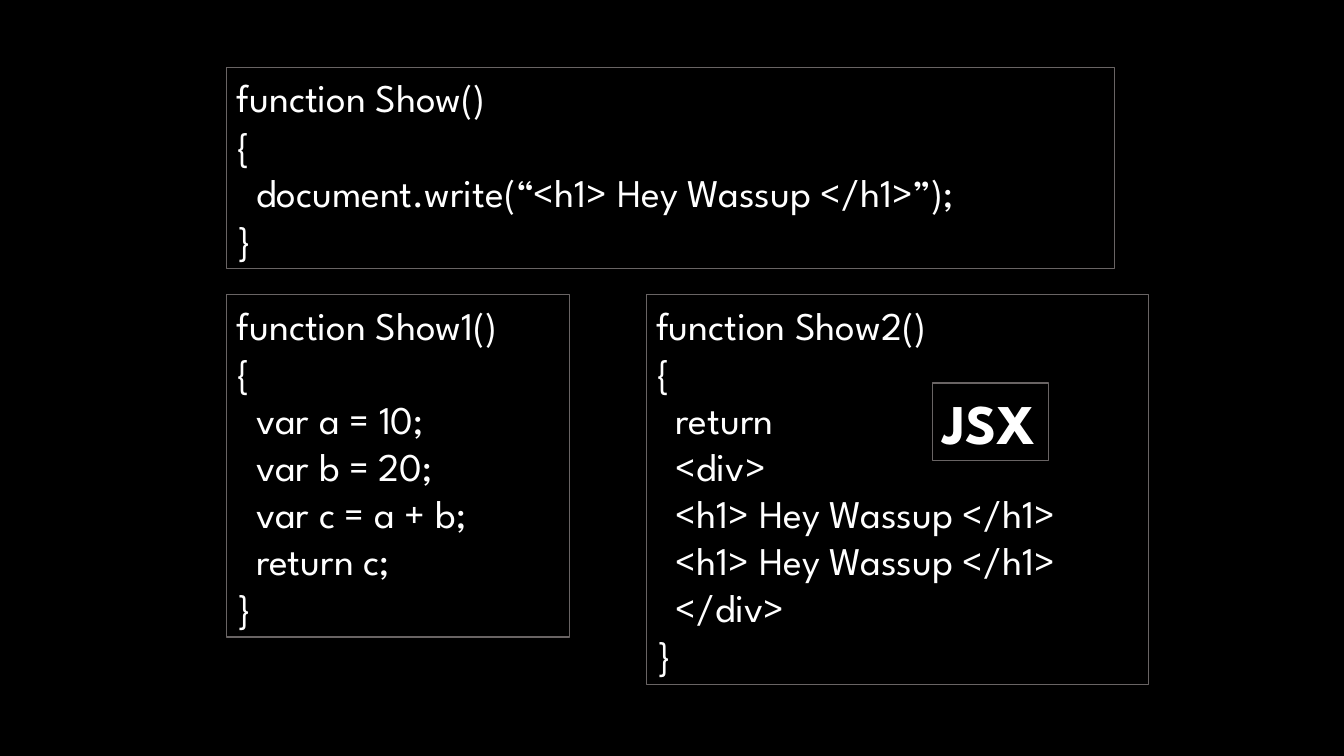
"""Build a slide comparing three JavaScript functions, the last one using JSX."""
from pptx import Presentation
from pptx.dml.color import RGBColor
from pptx.enum.shapes import MSO_SHAPE
from pptx.enum.text import MSO_ANCHOR, PP_ALIGN
from pptx.util import Inches, Pt

RECTANGLE = MSO_SHAPE.RECTANGLE
MIDDLE = MSO_ANCHOR.MIDDLE
LEFT = PP_ALIGN.LEFT

FONT = "League Spartan"
BLACK, WHITE, GREY = "000000", "FFFFFF", "696464"

SHOW = """function Show()
{
  document.write(“<h1> Hey Wassup </h1>”);
}"""
SHOW_SUM = """function Show1()
{
  var a = 10;
  var b = 20;
  var c = a + b;
  return c;
}"""
SHOW_MARKUP = """function Show2()
{
  return
  <div>
  <h1> Hey Wassup </h1>
  <h1> Hey Wassup </h1>
  </div>
}"""

LEFT_COLUMN, RIGHT_COLUMN = 2.25, 6.41
TOP_ROW, BOTTOM_ROW = 0.67, 2.92
LINE_HEIGHT, PADDING = 0.47, 0.11

CODE_BOXES = [
    (SHOW, LEFT_COLUMN, TOP_ROW, 8.8),
    (SHOW_SUM, LEFT_COLUMN, BOTTOM_ROW, 3.4),
    (SHOW_MARKUP, RIGHT_COLUMN, BOTTOM_ROW, 4.98),
]
LABEL = ("JSX", 9.25, 3.8, 1.15)
LABEL_HEIGHT = 0.77


def color(value):
    return RGBColor.from_string(value)


def add_box(slide, text, left, top, width, height, size=28, bold=False, wrap=True):
    shape = slide.shapes.add_shape(
        RECTANGLE, Inches(left), Inches(top), Inches(width), Inches(height))
    shape.shadow.inherit = False
    shape.fill.background()
    shape.line.color.rgb = color(GREY)
    shape.line.width = Pt(0.75)
    frame = shape.text_frame
    frame.word_wrap = wrap
    frame.vertical_anchor = MIDDLE
    frame.text = text
    for paragraph in frame.paragraphs:
        paragraph.alignment = LEFT
        for run in paragraph.runs:
            run.font.name = FONT
            run.font.size = Pt(size)
            run.font.bold = bold
            run.font.color.rgb = color(WHITE)


def main():
    presentation = Presentation()
    presentation.slide_width = Inches(13.33)
    presentation.slide_height = Inches(7.5)
    slide = presentation.slides.add_slide(presentation.slide_layouts[6])
    slide.background.fill.solid()
    slide.background.fill.fore_color.rgb = color(BLACK)
    for code, left, top, width in CODE_BOXES:
        height = len(code.splitlines()) * LINE_HEIGHT + PADDING
        add_box(slide, code, left, top, width, height)
    add_box(slide, *LABEL, LABEL_HEIGHT, size=40, bold=True, wrap=False)
    presentation.save("out.pptx")


if __name__ == "__main__":
    main()
